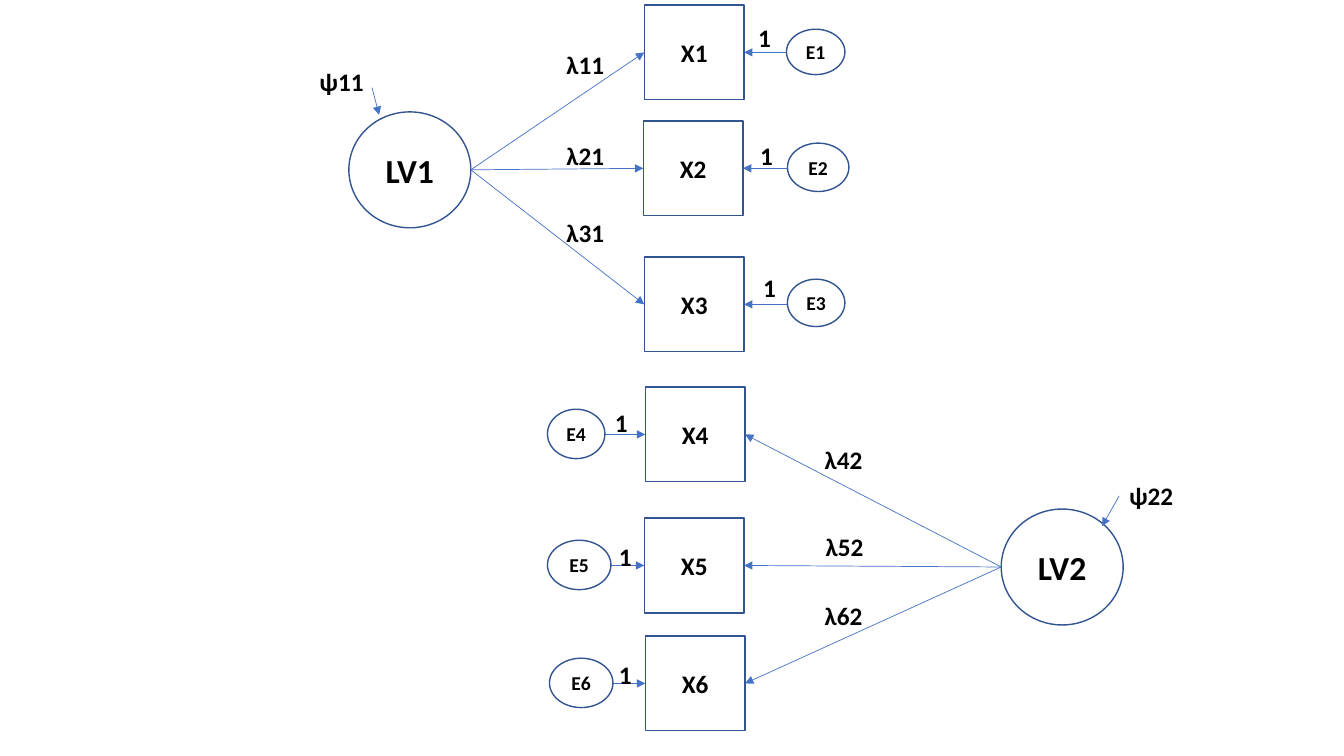
from lxml import etree
from pptx import Presentation
from pptx.dml.color import RGBColor
from pptx.enum import shapes, text
from pptx.oxml import ns
from pptx.util import Inches, Pt

BOX_W, BOX_H = 0.99, 0.94
LATENT_W, LATENT_H = 1.21, 1.15

# Latent variable: name, left, top, variance label and its place, variance arrow
LATENTS = [
    ("LV1", 3.46, 1.11, "ψ11", (3.07, 0.61), (3.69, 0.87), (3.76, 1.14)),
    ("LV2", 9.93, 5.05, "ψ22", (11.1, 4.72), (11.1, 4.92), (10.93, 5.22)),
]
# Per latent variable, its indicators: number, box left and top,
# error ellipse, place of the "1", loading label and its place
INDICATORS = [
    [
        (1, 6.39, 0.05, (7.8, 0.29, 0.58, 0.45), (7.42, 0.17), "λ11", (5.52, 0.44)),
        (2, 6.38, 1.2, (7.81, 1.42, 0.61, 0.48), (7.44, 1.34), "λ21", (5.52, 1.34)),
        (3, 6.39, 2.55, (7.81, 2.77, 0.57, 0.47), (7.47, 2.65), "λ31", (5.52, 2.11)),
    ],
    [
        (4, 6.4, 3.84, (5.43, 4.06, 0.57, 0.49), (6, 3.99), "λ42", (8.08, 4.36)),
        (5, 6.39, 5.14, (5.43, 5.36, 0.63, 0.49), (6.04, 5.32), "λ52", (8.09, 5.22)),
        (6, 6.4, 6.31, (5.45, 6.53, 0.63, 0.49), (6.04, 6.49), "λ62", (8.08, 5.91)),
    ],
]


def rgb(value):
    return RGBColor.from_string(value)


def write(tf, words, size=18, color="000000", bold=True, font="Calibri", align=None):
    p = tf.paragraphs[0]
    p.alignment = align
    r = p.add_run()
    r.text = words
    r.font.size, r.font.bold, r.font.name = Pt(size), bold, font
    r.font.color.rgb = rgb(color)


class Diagram:
    """Holds the current slide and the style of its nodes, arrows and labels."""
    fill, outline, arrow_color = "FFFFFF", "325491", "4472C4"

    def __init__(self, slide):
        self.s = slide

    def node(self, kind, words, at, size):
        sp = self.s.shapes.add_shape(kind, *map(Inches, at))
        sp.shadow.inherit = False
        sp.fill.solid()
        sp.fill.fore_color.rgb = rgb(self.fill)
        sp.line.color.rgb = rgb(self.outline)
        sp.line.width = Pt(1)
        tf = sp.text_frame
        tf.word_wrap = False
        tf.vertical_anchor = text.MSO_ANCHOR.MIDDLE
        write(tf, words, size=size, align=text.PP_ALIGN.CENTER)

    def ellipse(self, words, at, size):
        self.node(shapes.MSO_SHAPE.OVAL, words, at, size)

    def box(self, words, at, size=18):
        self.node(shapes.MSO_SHAPE.RECTANGLE, words, at, size)

    def label(self, words, at, width=0.72):
        sp = self.s.shapes.add_textbox(*map(Inches, (*at, width, 0.4)))
        tf = sp.text_frame
        tf.word_wrap = True
        tf.auto_size = text.MSO_AUTO_SIZE.SHAPE_TO_FIT_TEXT
        write(tf, words)

    def arrow(self, start, end):
        c = self.s.shapes.add_connector(
            shapes.MSO_CONNECTOR.STRAIGHT, *map(Inches, (*start, *end)))
        c.line.color.rgb = rgb(self.arrow_color)
        c.line.width = Pt(0.5)
        etree.SubElement(c.line._get_or_add_ln(), ns.qn("a:tailEnd"), type="triangle")
        etree.SubElement(c._element.spPr, ns.qn("a:effectLst"))


def main():
    prs = Presentation()
    prs.slide_width, prs.slide_height = Inches(13.33), Inches(7.5)
    d = Diagram(prs.slides.add_slide(prs.slide_layouts[6]))

    for latent, indicators in zip(LATENTS, INDICATORS):
        name, left, top, variance, variance_at, start, end = latent
        d.ellipse(name, (left, top, LATENT_W, LATENT_H), 24)
        d.arrow(start, end)
        d.label(variance, variance_at)

        for number, x, y, error, one_at, loading, loading_at in indicators:
            d.box(f"X{number}", (x, y, BOX_W, BOX_H))
            d.ellipse(f"E{number}", error, 14)
            middle = y + BOX_H / 2
            left_side, right_side = (x, middle), (x + BOX_W, middle)
            latent_y = top + LATENT_H / 2
            if left < x:
                d.arrow((left + LATENT_W, latent_y), left_side)
                d.arrow((error[0], middle), right_side)
            else:
                d.arrow((left, latent_y), right_side)
                d.arrow((error[0] + error[2], middle), left_side)
            d.label("1", one_at, width=0.33)
            d.label(loading, loading_at)

    prs.save("out.pptx")


if __name__ == "__main__":
    main()
